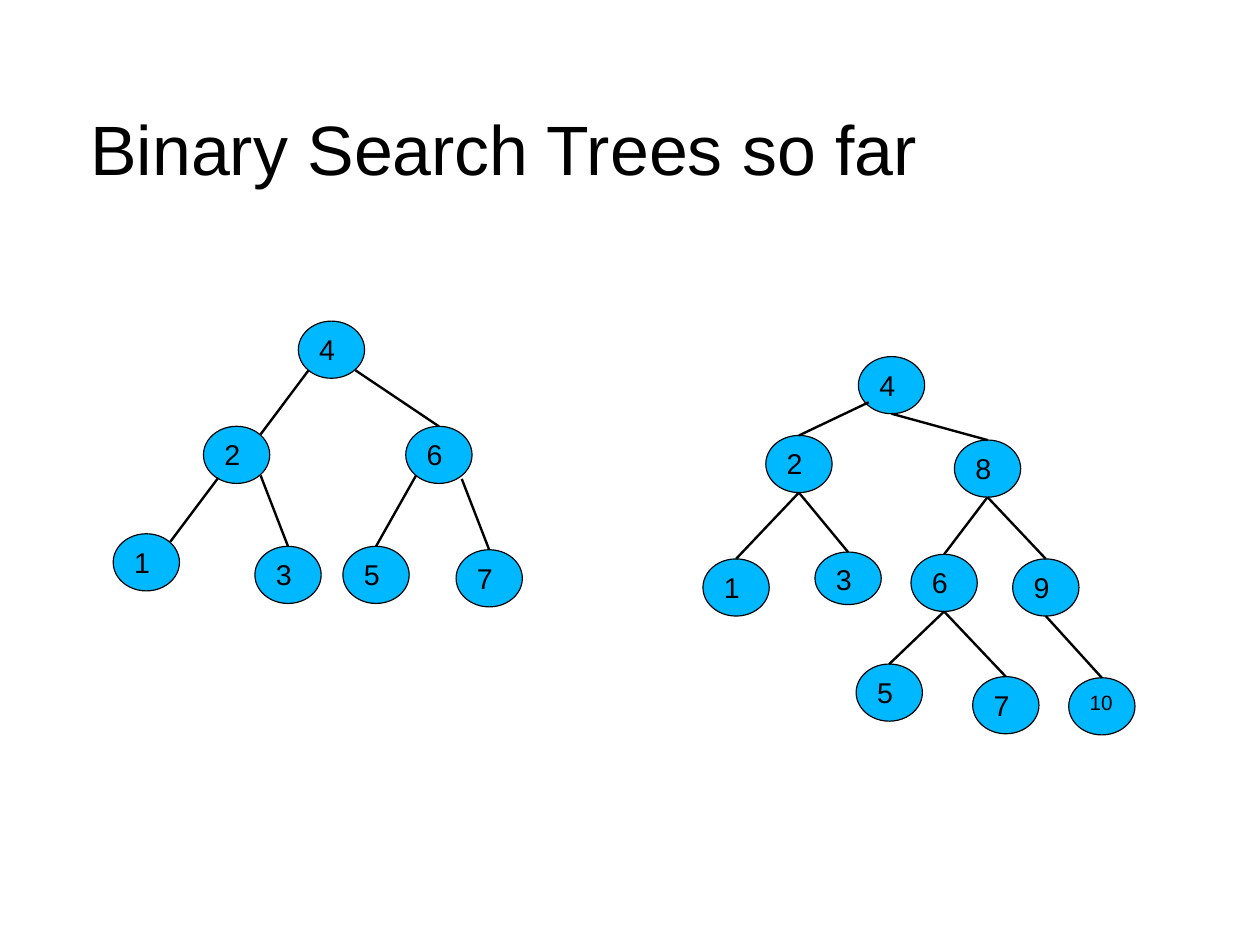
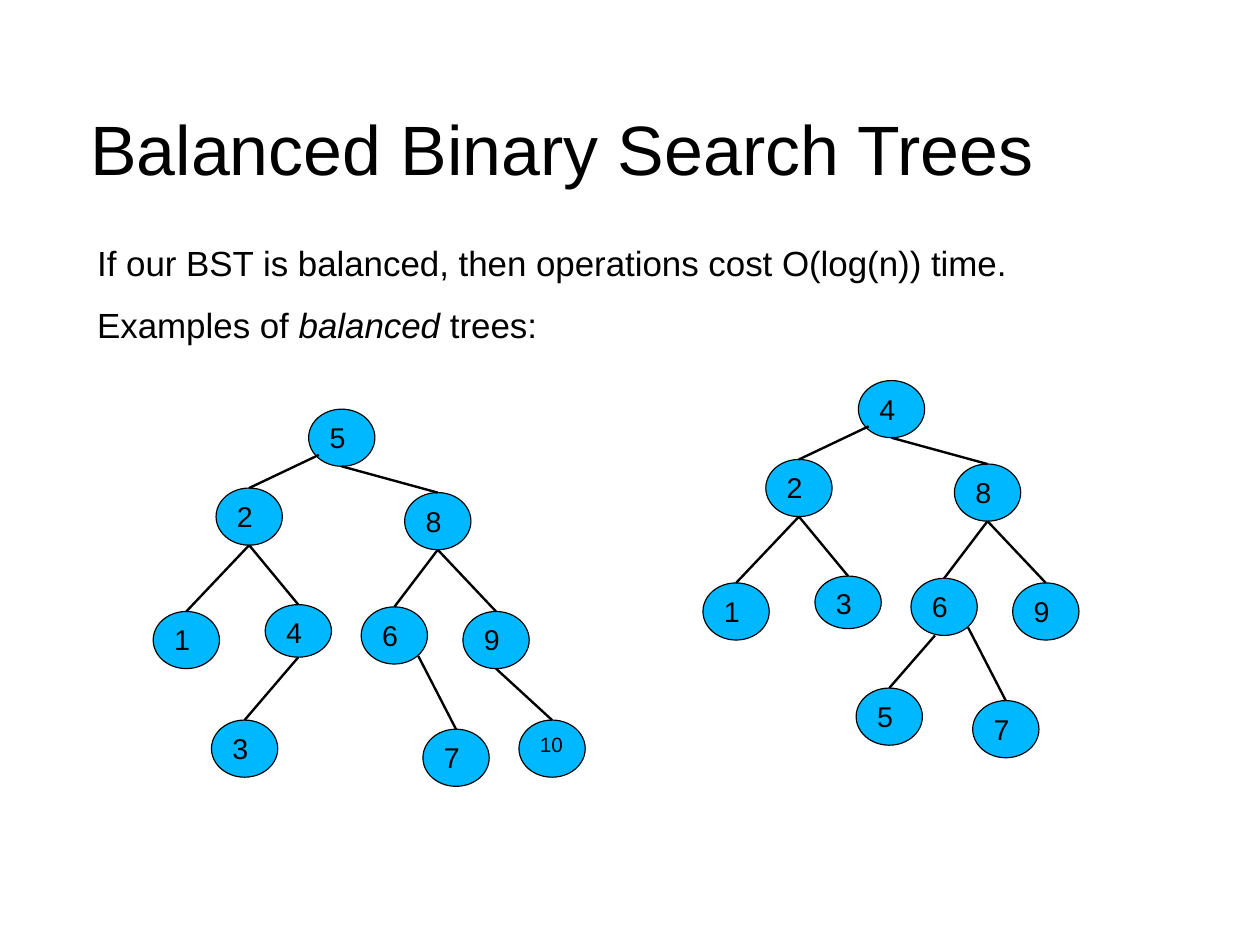
import pptx
import pptx.dml.color
import pptx.enum.shapes
import pptx.enum.text
import pptx.oxml.ns
import pptx.util
from dataclasses import dataclass
from lxml import etree

Inches = pptx.util.Inches
Pt = pptx.util.Pt


@dataclass(frozen=True)
class Theme:
    font: str = "Arial"
    ink: str = "000000"
    node: str = "00B8FF"
    paper: str = "FFFFFF"
    title_size: float = 44
    body_size: float = 22
    key_size: float = 18
    long_key_size: float = 13
    line_spacing: float = 0.93
    paragraph_gap: float = 14.2
    outline: float = 0.75
    edge: float = 1.5


THEME = Theme()
SLIDE_WIDTH, SLIDE_HEIGHT = pptx.util.Cm(28), pptx.util.Cm(21)
TITLE_AREA = (0.79, 0.62, 9.25, 1.38)
BODY_AREA = (0.79, 2.13, 9.68, 5.26)
BODY_INDENT = 0.06
NODE_WIDTH, NODE_HEIGHT = 0.58, 0.5

# A node is named by its route from the root: "LR" is the right child of the
# left child. Positions are offsets from the root; ports from a node's corner.
SW, SE, NE = (0.09, 0.43), (0.5, 0.43), (0.5, 0.07)

PERFECT_PLACES = {
    "": (0, 0), "L": (-0.83, 0.92), "R": (0.94, 0.92),
    "LL": (-1.62, 1.86), "LR": (-0.38, 1.97),
    "RL": (0.39, 1.97), "RR": (1.38, 2.0),
}
WIDE_PLACES = {
    "": (0, 0), "L": (-0.81, 0.69), "R": (0.84, 0.73),
    "LL": (-1.36, 1.77), "LR": (-0.38, 1.71),
    "RL": (0.46, 1.73), "RR": (1.35, 1.77),
    "LRL": (-0.85, 2.72), "RLL": (-0.02, 2.69),
    "RLR": (1.0, 2.8), "RRR": (1.84, 2.81),
}
SHORT_HEIGHTS = {"LR": 0.46}
ROOT_EXIT = {"L": (0.09, 0.4)}

SLIDES = [
    {
        "title": "Binary Search Trees so far",
        "body": [],
        "trees": [
            {
                "root": (7.51, 3.12),
                "keys": {"": 4, "L": 2, "R": 8, "LL": 1, "LR": 3, "RL": 6,
                         "RR": 9, "RLL": 5, "RLR": 7, "RRR": 10},
                "places": WIDE_PLACES,
                "heights": SHORT_HEIGHTS,
                "exits": ROOT_EXIT,
            },
            {
                "root": (2.61, 2.81),
                "keys": {"": 4, "L": 2, "R": 6, "LL": 1, "LR": 3, "RL": 5,
                         "RR": 7},
                "places": PERFECT_PLACES,
                "exits": {"L": SW, "R": SE, "LL": (0.13, 0.45), "LR": SE,
                          "RL": SW, "RR": (0.49, 0.46)},
                "entries": {"L": NE, "LL": NE},
            },
        ],
    },
    {
        "title": "Balanced Binary Search Trees",
        "body": [
            [("If our BST is balanced, then operations cost O(log(n)) time.",
              False)],
            [("Examples of ", False), ("balanced", True), (" trees:", False)],
        ],
        "trees": [
            {
                "root": (7.51, 3.33),
                "keys": {"": 4, "L": 2, "R": 8, "LL": 1, "LR": 3, "RL": 6,
                         "RR": 9, "RLL": 5, "RLR": 7},
                "places": WIDE_PLACES,
                "heights": SHORT_HEIGHTS,
                "exits": ROOT_EXIT | {"RLL": (0.21, 0.5), "RLR": SE},
            },
            {
                "root": (2.7, 3.58),
                "keys": {"": 5, "L": 2, "R": 8, "LL": 1, "LR": 4, "RL": 6,
                         "RR": 9, "LRL": 3, "RLR": 7, "RRR": 10},
                "places": WIDE_PLACES | {"RRR": (1.84, 2.72)},
                "heights": SHORT_HEIGHTS,
                "exits": ROOT_EXIT | {"RLR": SE},
            },
        ],
    },
]


def color(value):
    return pptx.dml.color.RGBColor.from_string(value)


def format_paragraph(para, size):
    para.alignment = pptx.enum.text.PP_ALIGN.LEFT
    para.line_spacing = THEME.line_spacing
    para.space_before = Pt(0)
    for span in para.runs:
        span.font.name = THEME.font
        span.font.size = Pt(size)
        span.font.color.rgb = color(THEME.ink)


def prepare_placeholder(box, area, top_inset, anchor):
    box.left, box.top, box.width, box.height = map(Inches, area)
    frame = box.text_frame
    frame.margin_left = frame.margin_right = frame.margin_bottom = 0
    frame.margin_top = Inches(top_inset)
    frame.vertical_anchor = anchor
    frame.auto_size = pptx.enum.text.MSO_AUTO_SIZE.NONE
    frame.word_wrap = True
    return frame


def fill_body(box, lines):
    frame = prepare_placeholder(box, BODY_AREA, 0.02,
                                pptx.enum.text.MSO_ANCHOR.TOP)
    for index, spans in enumerate(lines):
        para = frame.add_paragraph() if index else frame.paragraphs[0]
        properties = para._p.get_or_add_pPr()
        properties.set("marL", str(Inches(BODY_INDENT)))
        properties.set("indent", "0")
        etree.SubElement(properties, pptx.oxml.ns.qn("a:buNone"))
        for text, italic in spans:
            span = para.add_run()
            span.text = text
            span.font.italic = italic
        format_paragraph(para, THEME.body_size)
        para.space_after = Pt(THEME.paragraph_gap)


def add_node(shapes, key, left, top, height):
    node = shapes.add_shape(pptx.enum.shapes.MSO_SHAPE.OVAL, Inches(left),
                            Inches(top), Inches(NODE_WIDTH), Inches(height))
    node.shadow.inherit = False
    node.fill.solid()
    node.fill.fore_color.rgb = color(THEME.node)
    node.line.color.rgb = color(THEME.ink)
    node.line.width = Pt(THEME.outline)
    frame = node.text_frame
    frame.text = str(key)
    frame.vertical_anchor = pptx.enum.text.MSO_ANCHOR.TOP
    format_paragraph(frame.paragraphs[0],
                     THEME.key_size if key < 10 else THEME.long_key_size)


def add_edge(shapes, start, end):
    edge = shapes.add_connector(pptx.enum.shapes.MSO_CONNECTOR.STRAIGHT,
                                *map(Inches, (*start, *end)))
    edge.line.color.rgb = color(THEME.ink)
    edge.line.width = Pt(THEME.edge)
    etree.SubElement(edge._element.spPr, pptx.oxml.ns.qn("a:effectLst"))


def add_tree(page, tree):
    shapes = page.shapes.add_group_shape().shapes
    root_left, root_top = tree["root"]
    heights = tree.get("heights", {})
    corners = {}
    for route, key in tree["keys"].items():
        across, down = tree["places"][route]
        corners[route] = (root_left + across, root_top + down)
        add_node(shapes, key, *corners[route], heights.get(route, NODE_HEIGHT))

    def port(route, offset):
        return [base + step for base, step in zip(corners[route], offset)]

    for route in tree["keys"]:
        if route:
            parent = route[:-1]
            bottom = (NODE_WIDTH / 2, heights.get(parent, NODE_HEIGHT))
            top = (NODE_WIDTH / 2, 0)
            add_edge(shapes,
                     port(parent, tree["exits"].get(route, bottom)),
                     port(route, tree.get("entries", {}).get(route, top)))


def add_page(deck, content):
    layout_name = "Title and Content" if content["body"] else "Title Only"
    page = deck.slides.add_slide(deck.slide_layouts.get_by_name(layout_name))
    page.background.fill.solid()
    page.background.fill.fore_color.rgb = color(THEME.paper)
    frame = prepare_placeholder(page.shapes.title, TITLE_AREA, 0.05,
                                pptx.enum.text.MSO_ANCHOR.MIDDLE)
    frame.text = content["title"]
    format_paragraph(frame.paragraphs[0], THEME.title_size)
    if content["body"]:
        fill_body(page.placeholders[1], content["body"])
    for tree in content["trees"]:
        add_tree(page, tree)


def main():
    deck = pptx.Presentation()
    deck.slide_width = SLIDE_WIDTH
    deck.slide_height = SLIDE_HEIGHT
    for content in SLIDES:
        add_page(deck, content)
    deck.save("out.pptx")


if __name__ == "__main__":
    main()
